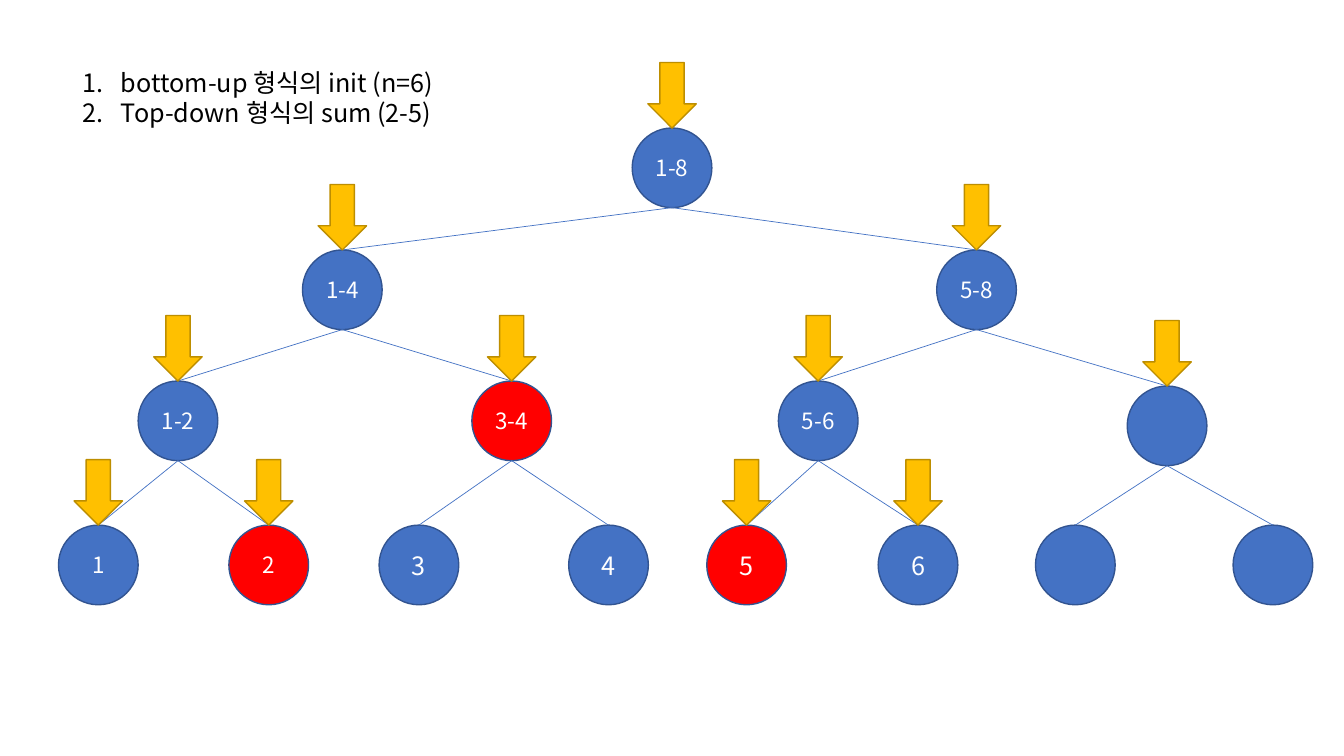
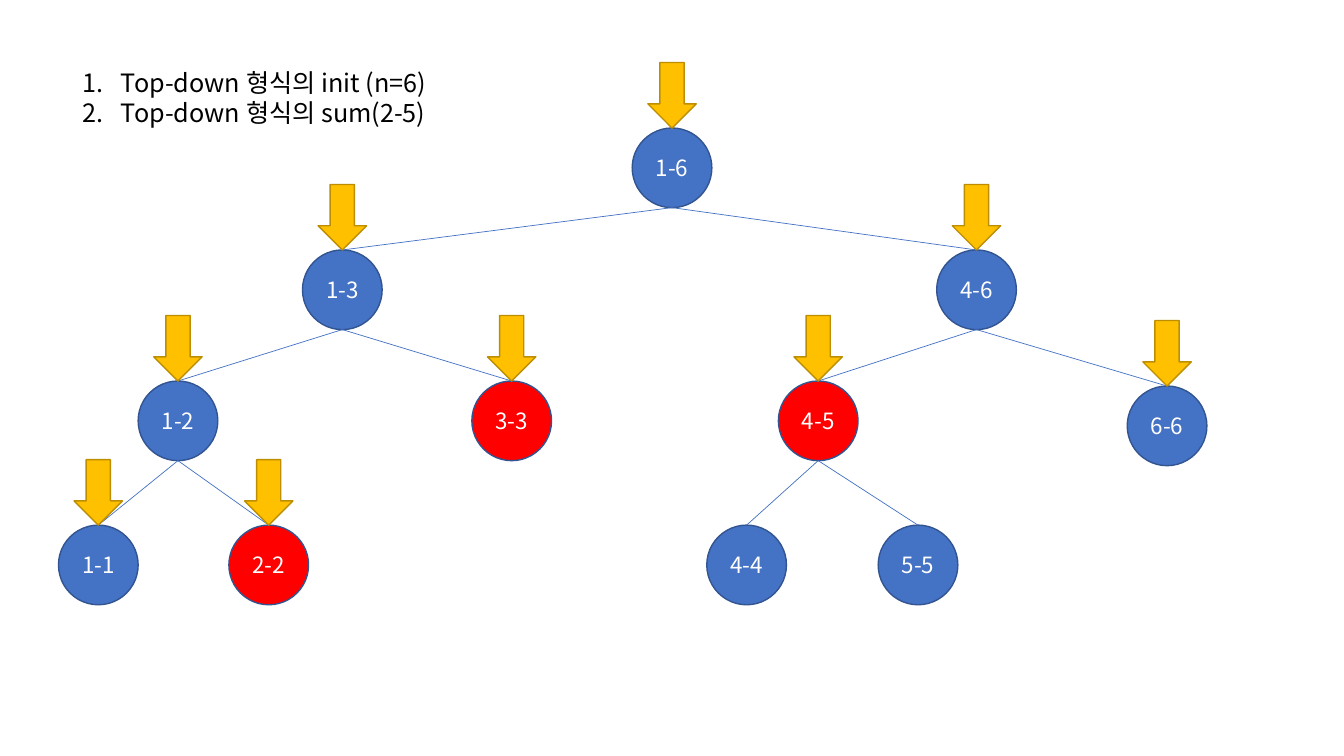
from lxml import etree
from pptx import Presentation
from pptx import util as u
from pptx.dml.color import RGBColor
from pptx.enum import shapes, text
from pptx.oxml.ns import qn

# Content: tree nodes are numbered like a heap, so node n hangs below n // 2
SLIDES = [
    {
        "steps": ["bottom-up 형식의 init (n=6)", "Top-down 형식의 sum (2-5)"],
        "steps_width": 3.83,
        "labels": {1: "1-8", 2: "1-4", 3: "5-8", 4: "1-2", 5: "3-4", 6: "5-6", 7: "",
                   8: "1", 9: "2", 10: "3", 11: "4", 12: "5", 13: "6", 14: "", 15: ""},
        "summed": {5, 9, 12},
        "visited": [1, 2, 3, 4, 5, 6, 7, 8, 9, 12, 13],
        "large": {10, 11, 12, 13},
    },
    {
        "steps": ["Top-down 형식의 init (n=6)", "Top-down 형식의 sum(2-5)"],
        "steps_width": 3.72,
        "labels": {1: "1-6", 2: "1-3", 3: "4-6", 4: "1-2", 5: "3-3", 6: "4-5", 7: "6-6",
                   8: "1-1", 9: "2-2", 12: "4-4", 13: "5-5"},
        "summed": {5, 6, 9},
        "visited": [1, 2, 3, 4, 5, 6, 7, 8, 9],
        "large": set(),
    },
]

# Shared look and layout, in inches
FONT = "Noto Sans CJK KR"
BLUE, RED, GOLD = "4472C4", "FF0000", "FFC000"
NODE_EDGE, ARROW_EDGE = "325491", "BD8E00"
NODE, ARROW_W, ARROW_H = 0.79, 0.48, 0.65
LEVELS = [
    (1.27, [6.27]),
    (2.48, [3.0, 9.29]),
    (3.78, [1.37, 4.68, 7.72, 11.18]),
    (5.21, [0.58, 2.27, 3.76, 5.64, 7.01, 8.71, 10.27, 12.23]),
]
POSITIONS = {2 ** depth + i: (left, top)
             for depth, (top, lefts) in enumerate(LEVELS)
             for i, left in enumerate(lefts)}
POSITIONS[7] = (11.18, 3.83)  # sits slightly lower than its level


def rgb(value):
    return RGBColor.from_string(value)


def style_text(paragraph, size, color):
    for run in paragraph.runs:
        run.font.size = u.Pt(size)
        run.font.color.rgb = rgb(color)
        run.font.name = FONT
        east_asian = etree.SubElement(run.font._element, qn("a:ea"))
        east_asian.set("typeface", FONT)


def add_filled(slide, kind, left, top, width, height, fill, edge):
    shape = slide.shapes.add_shape(kind, *map(u.Inches, (left, top, width, height)))
    shape.shadow.inherit = False
    shape.fill.solid()
    shape.fill.fore_color.rgb = rgb(fill)
    shape.line.color.rgb = rgb(edge)
    shape.line.width = u.Pt(1)
    return shape


def add_steps(slide, steps, width):
    slide.shapes.title._element.getparent().remove(slide.shapes.title._element)
    body = slide.placeholders[1]
    body.left, body.top, body.width, body.height = map(u.Inches, (0.72, 0.62, width, 1.01))
    frame = body.text_frame
    frame.text = "\n".join(steps)
    frame.word_wrap = True
    frame.auto_size = text.MSO_AUTO_SIZE.NONE
    frame.vertical_anchor = text.MSO_ANCHOR.TOP
    for step in frame.paragraphs:
        step.space_before = u.Pt(0)
        step.alignment = text.PP_ALIGN.LEFT
        style_text(step, 18, "000000")
        props = step._p.get_or_add_pPr()
        props.set("marL", str(u.Inches(0.38)))
        props.set("indent", str(u.Inches(-0.38)))
        etree.SubElement(props, qn("a:buFont")).set("typeface", "+mj-lt")
        etree.SubElement(props, qn("a:buAutoNum")).set("type", "arabicPeriod")


def add_node(slide, n, label, fill, size):
    circle = add_filled(slide, shapes.MSO_SHAPE.FLOWCHART_CONNECTOR,
                        *POSITIONS[n], NODE, NODE, fill, NODE_EDGE)
    if label:
        frame = circle.text_frame
        frame.margin_left = frame.margin_right = 0
        frame.vertical_anchor = text.MSO_ANCHOR.MIDDLE
        frame.text = label
        frame.paragraphs[0].alignment = text.PP_ALIGN.CENTER
        style_text(frame.paragraphs[0], size, "FFFFFF")


def add_branch(slide, n):
    left, top = POSITIONS[n]
    parent_left, parent_top = POSITIONS[n // 2]
    ends = (left + NODE / 2, top, parent_left + NODE / 2, parent_top + NODE)
    branch = slide.shapes.add_connector(shapes.MSO_CONNECTOR.STRAIGHT, *map(u.Inches, ends))
    branch.line.color.rgb = rgb(BLUE)
    branch.line.width = u.Pt(0.5)
    etree.SubElement(branch._element.spPr, qn("a:effectLst"))


def add_visit(slide, n):
    left, top = POSITIONS[n]
    add_filled(slide, shapes.MSO_SHAPE.DOWN_ARROW, left + (NODE - ARROW_W) / 2,
               top - ARROW_H, ARROW_W, ARROW_H, GOLD, ARROW_EDGE)


prs = Presentation()
prs.slide_width, prs.slide_height = u.Inches(13.33), u.Inches(7.5)

for tree in SLIDES:
    slide = prs.slides.add_slide(prs.slide_layouts[1])
    add_steps(slide, tree["steps"], tree["steps_width"])
    for n, label in tree["labels"].items():
        add_node(slide, n, label, RED if n in tree["summed"] else BLUE,
                 18 if n in tree["large"] else 16)
    for n in tree["labels"]:
        if n > 1:
            add_branch(slide, n)
    for n in tree["visited"]:
        add_visit(slide, n)

prs.save("out.pptx")
